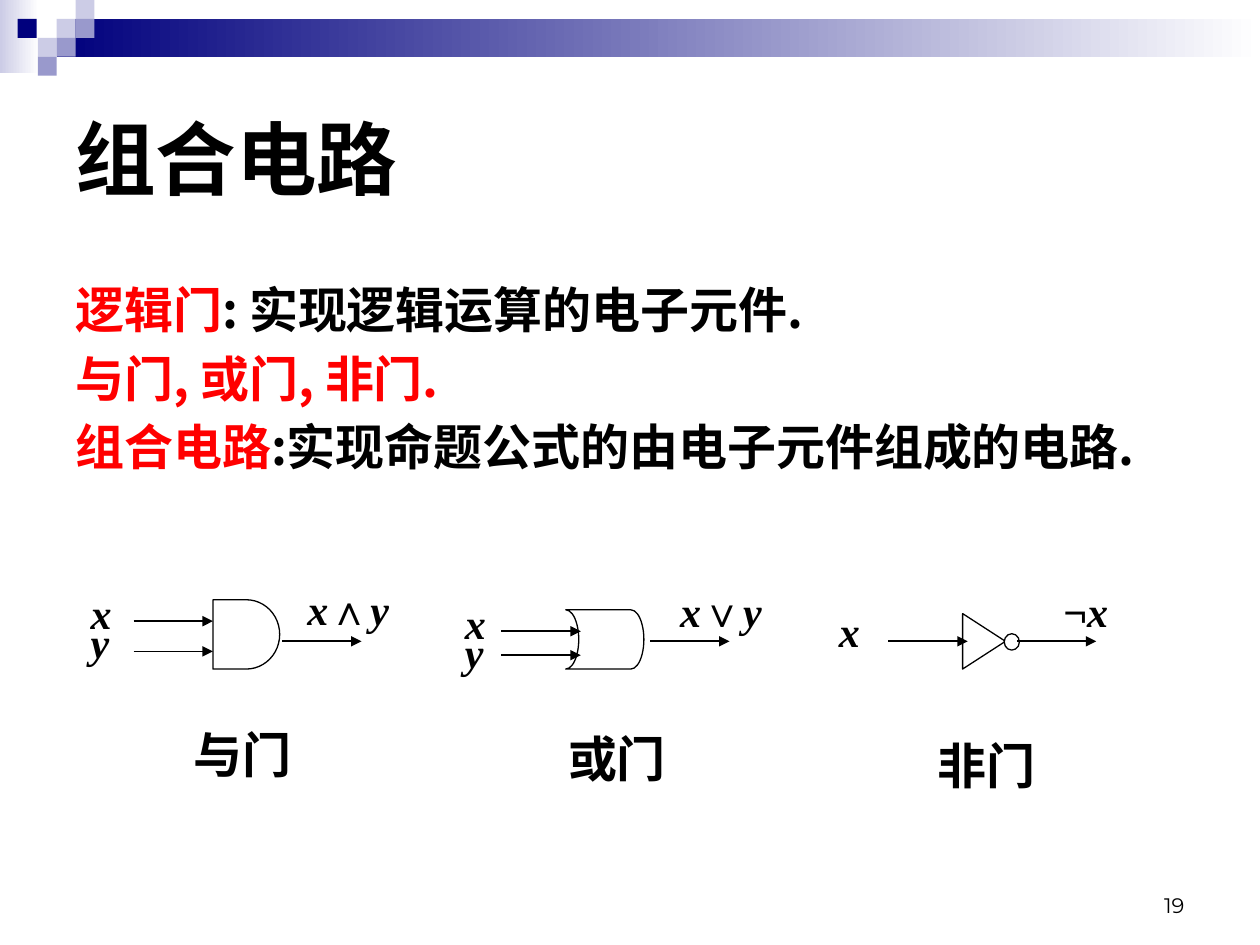
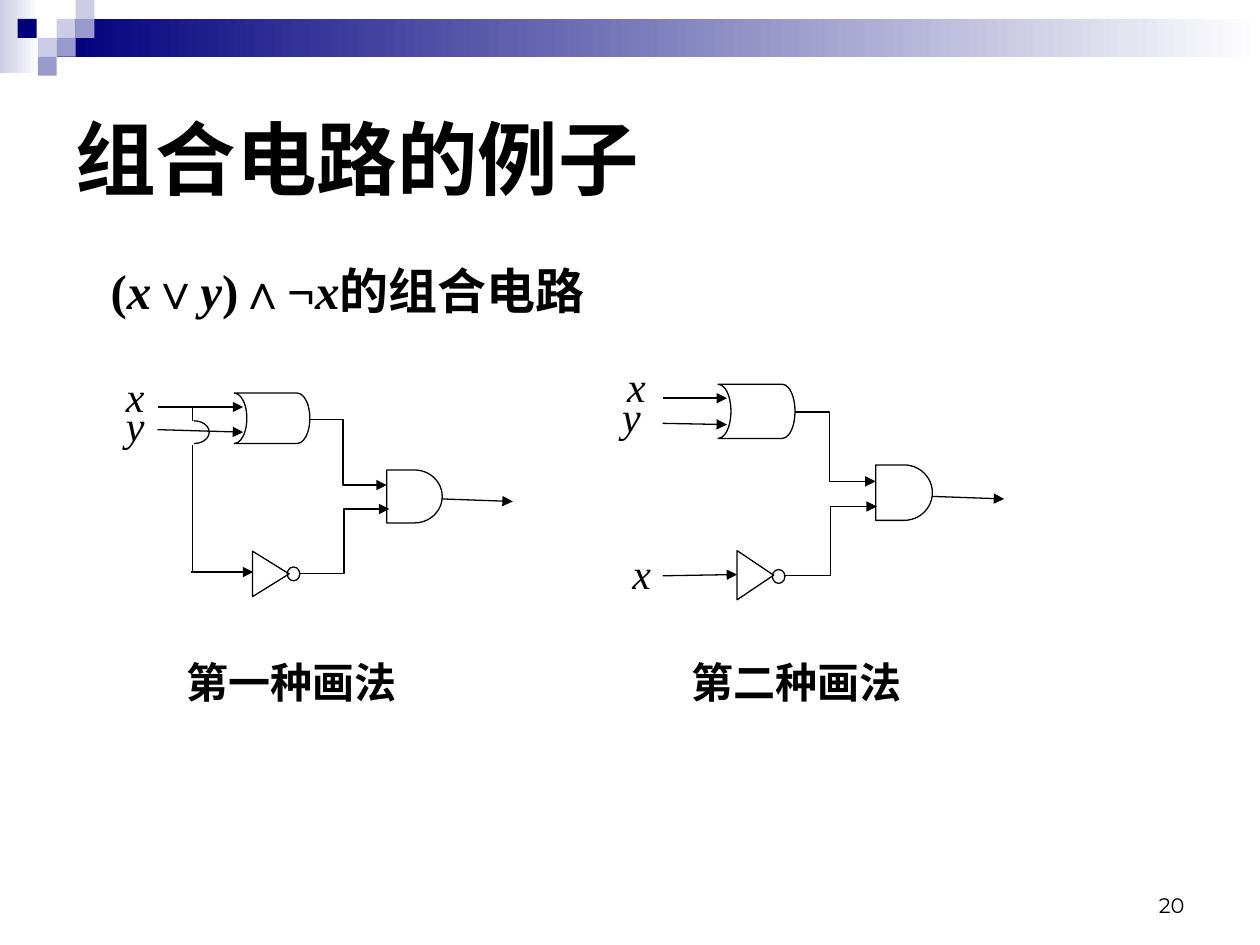
from itertools import groupby
from math import cos, radians, sin

from lxml import etree
from pptx import Presentation
from pptx.dml.color import RGBColor
from pptx.enum.shapes import MSO_CONNECTOR as CONN, MSO_SHAPE as SHAPE
from pptx.enum.text import MSO_ANCHOR as ANCHOR, PP_ALIGN as ALIGN
from pptx.oxml.ns import qn
from pptx.util import Inches, Pt

COLORS = {"black": "000000", "white": "FFFFFF", "red": "FF0000",
          "navy": "00007D", "lilac": "CCCCE6", "violet": "9999CC"}
TIMES, CJK = "Times New Roman", "Noto Sans CJK SC"
TILE = 0.15
TILES = [(0.45, 0.15, "lilac"), (0.6, 0, "lilac"), (0.6, 0.15, "violet"),
         (0.3, 0.3, "lilac"), (0.14, 0.15, "navy"), (0.45, 0.3, "violet"),
         (0.3, 0.45, "violet")]


def rgb(name):
    return RGBColor.from_string(COLORS[name])


def formula(text):
    """Split text into runs with the variables x and y in italics."""
    return [("".join(chars), {"italic": var})
            for var, chars in groupby(text, lambda c: c in "xy")]


class Deck:
    """Draws circuit slides in one style."""

    def __init__(self):
        self.prs = Presentation()
        self.prs.slide_width, self.prs.slide_height = Inches(10), Inches(7.5)

    def slide(self, title, number):
        self.s = self.prs.slides.add_slide(self.prs.slide_layouts[6])
        self.fade(0, 0, 0.31, 0.58, "lilac")
        self.fade(0.45, 0.15, 9.55, 0.3, "navy")
        for x, y, color in TILES:
            self.shape(SHAPE.RECTANGLE, x, y, TILE, TILE, color, None)
        self.text([[(title, {})]], 0.5, 0.5, 9, 1.5, 46, "Arial", anchor=ANCHOR.MIDDLE)
        self.text([[(number, {})]], 7.17, 6.83, 2.33, 0.5, 12, "Montserrat",
                  bold=False, anchor=ANCHOR.BOTTOM, align=ALIGN.RIGHT)

    def shape(self, kind, x, y, w, h, fill=None, line="black"):
        sp = self.s.shapes.add_shape(kind, Inches(x), Inches(y), Inches(w), Inches(h))
        self.paint(sp, fill, line)
        return sp

    def paint(self, sp, fill, line):
        sp.shadow.inherit = False
        if fill:
            sp.fill.solid()
            sp.fill.fore_color.rgb = rgb(fill)
        else:
            sp.fill.background()
        if line:
            sp.line.color.rgb, sp.line.width = rgb(line), Pt(0.75)
        else:
            sp.line.fill.background()

    def fade(self, x, y, w, h, color):
        sp = self.shape(SHAPE.RECTANGLE, x, y, w, h, color, None)
        sp.fill.gradient()
        sp.fill.gradient_angle = 0
        for stop, name, pos in zip(sp.fill.gradient_stops, (color, "white"), (0, 1)):
            stop.color.rgb, stop.position = rgb(name), pos

    def text(self, paragraphs, x, y, w, h, size, font=TIMES, bold=True,
             anchor=ANCHOR.TOP, align=ALIGN.LEFT, gap=0):
        tf = self.s.shapes.add_textbox(Inches(x), Inches(y), Inches(w), Inches(h)).text_frame
        tf.word_wrap, tf.vertical_anchor = True, anchor
        for i, runs in enumerate(paragraphs):
            p = tf.add_paragraph() if i else tf.paragraphs[0]
            p.alignment = align
            if i:
                p.space_before = Pt(gap)
            for value, extra in runs:
                r = p.add_run()
                r.text = value
                fmt = {"size": Pt(size), "bold": bold, "name": font, **extra}
                r.font.color.rgb = rgb(fmt.pop("color", "black"))
                for key, val in fmt.items():
                    setattr(r.font, key, val)

    def variable(self, name, x, y, w=0.43, bold=False):
        self.text([formula(name)], x, y, w, 0.47, 24, bold=bold)

    def wire(self, x1, y1, x2, y2, arrow=True, width=0.75, bend=None):
        kind = CONN.STRAIGHT if bend is None else CONN.ELBOW
        c = self.s.shapes.add_connector(kind, Inches(x1), Inches(y1), Inches(x2), Inches(y2))
        c.line.color.rgb, c.line.width = rgb("black"), Pt(width)
        sppr = c._element.spPr
        if arrow:
            etree.SubElement(sppr.find(qn("a:ln")), qn("a:tailEnd"), type="triangle")
        if bend is not None:
            guides = sppr.find(qn("a:prstGeom")).get_or_add_avLst()
            etree.SubElement(guides, qn("a:gd"), name="adj1", fmla=f"val {round(bend * 100000)}")
        etree.SubElement(sppr, qn("a:effectLst"))

    def and_gate(self, x, y, w, h, fill=None):
        self.shape(SHAPE.FLOWCHART_DELAY, x, y, w, h, fill)

    def or_gate(self, x, y, w, h, fill=None):
        sp = self.shape(SHAPE.FLOWCHART_STORED_DATA, x, y, w, h, fill)
        sp._element.spPr.find(qn("a:xfrm")).set("flipH", "1")

    def not_gate(self, x, y, w, h, dot, fill=None):
        self.shape(SHAPE.ISOSCELES_TRIANGLE, x, y, w, h, fill).rotation = 90
        self.shape(SHAPE.OVAL, *dot, fill)

    def hop(self, x, y, rx, ry):
        points = [(Inches(x + rx * cos(radians(a))), Inches(y + ry * sin(radians(a))))
                  for a in range(-90, 100, 10)]
        fb = self.s.shapes.build_freeform(*points[0])
        fb.add_line_segments(points[1:], close=False)
        self.paint(fb.convert_to_shape(), None, "black")


def gates_slide(d):
    d.slide("组合电路", "19")
    red = {"color": "red"}
    d.text([[("逻辑门", red), (": 实现逻辑运算的电子元件.", {})],
            [("与门, 或门, 非门.", red)],
            [("组合电路", red), (":实现命题公式的由电子元件组成的电路.", {})]],
           0.5, 2.17, 9, 1.9, 28, CJK, gap=5.6)
    for name, x, y in [("与门", 1.44, 5.7), ("或门", 4.41, 5.73), ("非门", 7.34, 5.79)]:
        d.text([[(name, {})]], x, y, 1.25, 0.67, 28, "Calibri")
    d.and_gate(1.69, 4.76, 0.53, 0.55, "white")
    d.or_gate(4.49, 4.84, 0.62, 0.47, "white")
    d.not_gate(7.59, 4.92, 0.44, 0.34, (7.97, 5.03, 0.12, 0.13), "white")
    for name, x, y in [("x", 0.62, 4.61), ("y", 0.62, 4.84), ("x", 3.59, 4.69),
                       ("y", 3.59, 4.92), ("x", 6.56, 4.76), ("x∧y", 2.34, 4.58),
                       ("x∨y", 5.3, 4.6), ("¬x", 8.34, 4.6)]:
        d.variable(name, x, y, 0.39 if len(name) == 1 else 1.15, bold=True)
    for x, y in [(8.07, 5.09), (7.05, 5.09), (5.16, 5.09), (3.98, 5.01),
                 (3.98, 5.2), (2.24, 5.09), (1.06, 4.93), (1.06, 5.17)]:
        d.wire(x, y, x + 0.63, y, width=1)


def examples_slide(d):
    d.slide("组合电路的例子", "20")
    d.text([formula("(x∨y)∧¬x的组合电路")], 0.78, 2.02, 8.48, 0.63, 28)
    d.or_gate(1.86, 3.12, 0.6, 0.4)
    d.not_gate(1.97, 4.41, 0.36, 0.29, (2.28, 4.5, 0.1, 0.11))
    d.and_gate(3.07, 3.73, 0.44, 0.42)
    d.hop(1.54, 3.43, 0.12, 0.09)
    d.wire(1.53, 3.22, 1.53, 3.34, arrow=False)
    d.wire(1.53, 3.53, 1.53, 4.53, arrow=False)
    d.or_gate(5.7, 3.05, 0.61, 0.43)
    d.not_gate(5.8, 4.42, 0.39, 0.29, (6.13, 4.52, 0.1, 0.11))
    d.and_gate(6.95, 3.69, 0.45, 0.44)
    for ends in [(1.25, 3.23, 1.93, 3.23), (1.25, 3.41, 1.93, 3.43),
                 (1.52, 4.54, 2.01, 4.54), (3.51, 3.96, 4.07, 3.98),
                 (5.26, 3.16, 5.77, 3.16), (5.26, 3.36, 5.77, 3.37),
                 (5.26, 4.57, 5.85, 4.56), (7.4, 3.94, 7.97, 3.96)]:
        d.wire(*ends)
    for *ends, bend in [(2.46, 3.33, 3.07, 3.85, 0.43), (2.37, 4.55, 3.09, 4.04, 0.5),
                        (6.31, 3.27, 6.95, 3.82, 0.43), (6.22, 4.57, 6.96, 4.02, 0.5)]:
        d.wire(*ends, bend=bend)
    for name, x, y in [("x", 0.9, 2.89), ("y", 0.9, 3.12), ("x", 4.88, 2.81),
                       ("y", 4.84, 3.05), ("x", 4.92, 4.3)]:
        d.variable(name, x, y)
    for name, x in [("第一种画法", 1.38), ("第二种画法", 5.39)]:
        d.text([[(name, {})]], x, 5.16, 1.9, 0.47, 24)


def main():
    d = Deck()
    gates_slide(d)
    examples_slide(d)
    d.prs.save("out.pptx")


if __name__ == "__main__":
    main()
